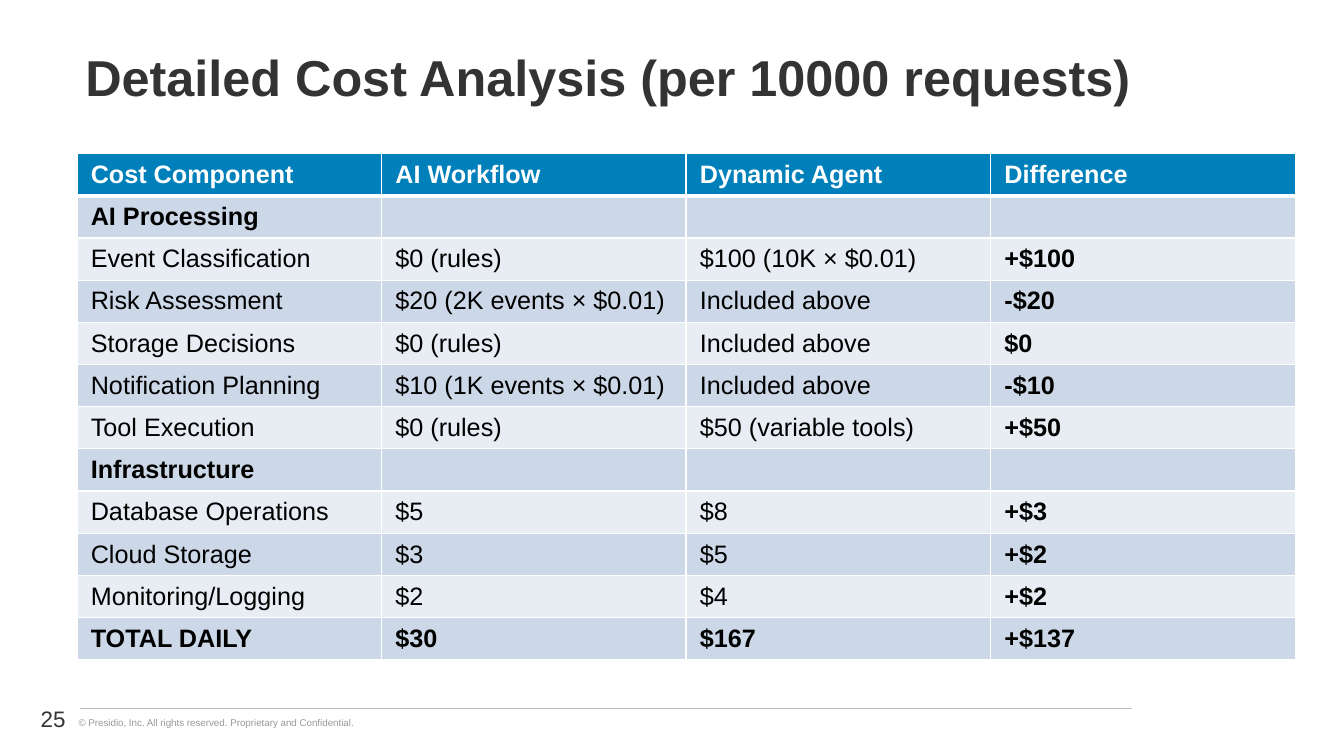
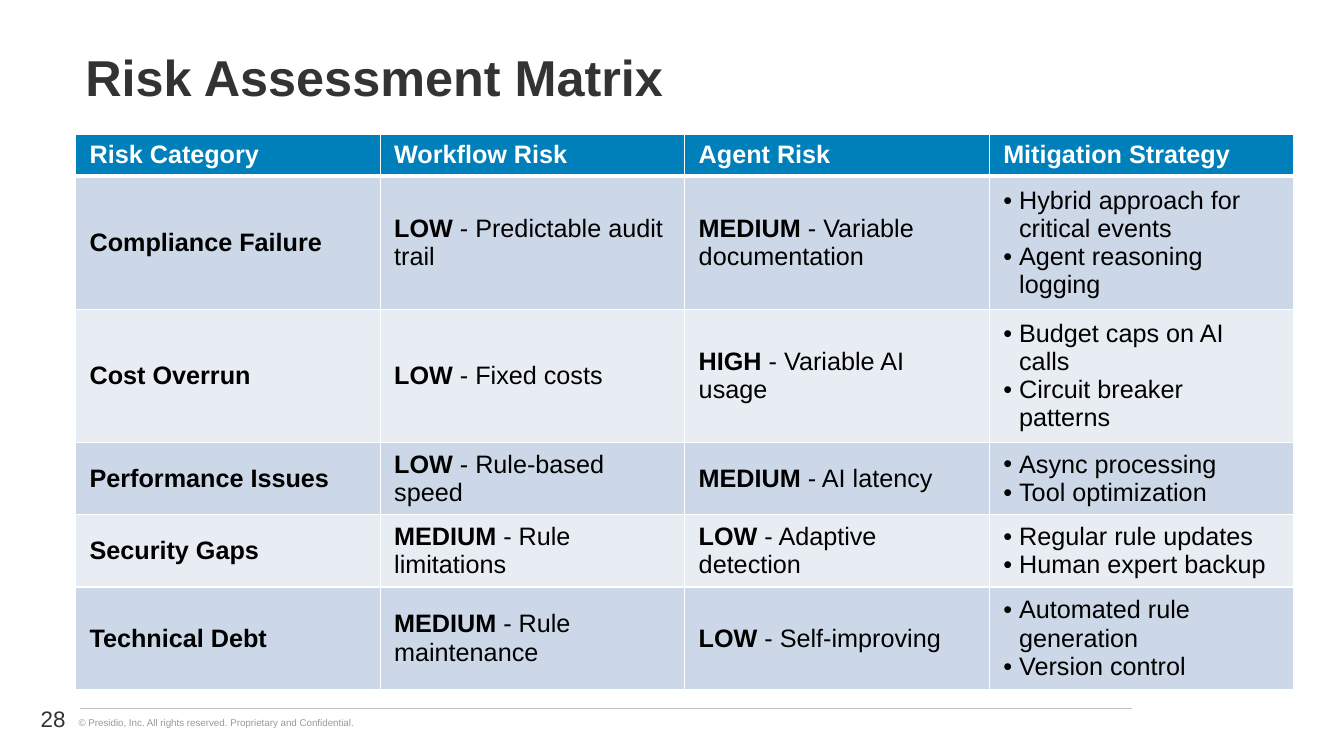
import dataclasses

import lxml.etree
import pptx
import pptx.dml.color
import pptx.enum.shapes
import pptx.enum.text
import pptx.oxml.ns
import pptx.util

Cm = pptx.util.Cm
Pt = pptx.util.Pt
qn = pptx.oxml.ns.qn
ANCHOR = pptx.enum.text.MSO_ANCHOR
ALIGN = pptx.enum.text.PP_ALIGN


@dataclasses.dataclass(frozen=True)
class Theme:
    font: str = "Arial"
    title_size: int = 36
    table_size: int = 18
    number_size: int = 16
    footer_size: int = 7
    dark: str = "333333"
    black: str = "000000"
    white: str = "FFFFFF"
    header: str = "0080BA"
    bands: tuple = ("CCD8E7", "E7EDF3")
    rule: str = "BFBFBF"
    muted: str = "989998"
    rule_width: float = 0.75
    border: int = 1
    header_border: int = 3


THEME = Theme()
FOOTER = "© Presidio, Inc. All rights reserved. Proprietary and Confidential."
TABLE_WIDTH = 30.7
BULLET_INDENT = 0.4

COSTS = [
    ("Cost Component", "AI Workflow", "Dynamic Agent", "Difference"),
    ("AI Processing", "", "", ""),
    ("Event Classification", "$0 (rules)", "$100 (10K × $0.01)", "+$100"),
    ("Risk Assessment", "$20 (2K events × $0.01)", "Included above", "-$20"),
    ("Storage Decisions", "$0 (rules)", "Included above", "$0"),
    ("Notification Planning", "$10 (1K events × $0.01)", "Included above", "-$10"),
    ("Tool Execution", "$0 (rules)", "$50 (variable tools)", "+$50"),
    ("Infrastructure", "", "", ""),
    ("Database Operations", "$5", "$8", "+$3"),
    ("Cloud Storage", "$3", "$5", "+$2"),
    ("Monitoring/Logging", "$2", "$4", "+$2"),
    ("TOTAL DAILY", "$30", "$167", "+$137"),
]
COST_HEIGHTS = [1.03] * len(COSTS)
COST_BOLD_ROWS = ("AI Processing", "Infrastructure", "TOTAL DAILY")

RISKS = [
    ("Risk Category", "Workflow Risk", "Agent Risk", "Mitigation Strategy"),
    ("Compliance Failure", "LOW - Predictable audit trail", "MEDIUM - Variable documentation",
     ["Hybrid approach for critical events", "Agent reasoning logging"]),
    ("Cost Overrun", "LOW - Fixed costs", "HIGH - Variable AI usage",
     ["Budget caps on AI calls", "Circuit breaker patterns"]),
    ("Performance Issues", "LOW - Rule-based speed", "MEDIUM - AI latency",
     ["Async processing", "Tool optimization"]),
    ("Security Gaps", "MEDIUM - Rule limitations", "LOW - Adaptive detection",
     ["Regular rule updates", "Human expert backup"]),
    ("Technical Debt", "MEDIUM - Rule maintenance", "LOW - Self-improving",
     ["Automated rule generation", "Version control"]),
]
RISK_HEIGHTS = [1.04, 3.15, 3.15, 1.74, 1.74, 2.45]


def rgb(value):
    return pptx.dml.color.RGBColor.from_string(value)


def set_all(target, values):
    for name, value in values.items():
        setattr(target, name, value)


def add_run(p, text, size, color, bold=False):
    r = p.add_run()
    r.text = text
    set_all(r.font, {"name": THEME.font, "size": Pt(size), "bold": bold})
    r.font.color.rgb = rgb(color)


def add_text(s, box, text, size, color, bold=False, frame=None, paragraph=None):
    tf = s.shapes.add_textbox(*map(Cm, box)).text_frame
    set_all(tf, {"word_wrap": True, "vertical_anchor": ANCHOR.MIDDLE, **(frame or {})})
    p = tf.paragraphs[0]
    set_all(p, paragraph or {})
    add_run(p, text, size, color, bold)


def add_rule(s, left, right, top):
    line = s.shapes.add_connector(
        pptx.enum.shapes.MSO_CONNECTOR.STRAIGHT, Cm(left), Cm(top), Cm(right), Cm(top))
    line.line.color.rgb = rgb(THEME.rule)
    line.line.width = Pt(THEME.rule_width)
    lxml.etree.SubElement(line._element.spPr, qn("a:effectLst"))


def add_borders(cell, top, bottom):
    tc_pr = cell._tc.get_or_add_tcPr()
    widths = {"L": THEME.border, "R": THEME.border, "T": top, "B": bottom}
    for side, width in widths.items():
        ln = lxml.etree.SubElement(tc_pr, qn(f"a:ln{side}"), w=str(Pt(width)))
        fill = lxml.etree.SubElement(ln, qn("a:solidFill"))
        lxml.etree.SubElement(fill, qn("a:srgbClr"), val=THEME.white)


def add_bullet(p):
    p_pr = p._p.get_or_add_pPr()
    p_pr.set("marL", str(Cm(BULLET_INDENT)))
    p_pr.set("indent", str(-Cm(BULLET_INDENT)))
    lxml.etree.SubElement(p_pr, qn("a:buFont"), typeface=THEME.font)
    lxml.etree.SubElement(p_pr, qn("a:buChar"), char="•")


def fill_cell(cell, content, row, bold):
    is_header = row == 0
    set_all(cell, {
        "vertical_anchor": ANCHOR.MIDDLE,
        "margin_left": Cm(0.35), "margin_right": Cm(0.35),
        "margin_top": Cm(0.15), "margin_bottom": Cm(0.15),
    })
    add_borders(cell,
                THEME.header_border if row == 1 else THEME.border,
                THEME.header_border if is_header else THEME.border)
    cell.fill.solid()
    cell.fill.fore_color.rgb = rgb(THEME.header if is_header else THEME.bands[(row - 1) % 2])
    color = THEME.white if is_header else THEME.black
    tf = cell.text_frame
    if isinstance(content, list):
        for i, item in enumerate(content):
            p = tf.add_paragraph() if i else tf.paragraphs[0]
            add_bullet(p)
            add_run(p, item, THEME.table_size, color, bold)
        return
    lead, dash, rest = content.partition(" - ")
    p = tf.paragraphs[0]
    if lead:
        add_run(p, lead, THEME.table_size, color, bold or bool(dash))
    else:
        p.font.size = Pt(THEME.table_size)
    if dash:
        add_run(p, dash + rest, THEME.table_size, color)


def add_grid(s, left, top, rows, heights, bold_column, bold_rows=()):
    columns = len(rows[0])
    table = s.shapes.add_table(
        len(rows), columns, Cm(left), Cm(top), Cm(TABLE_WIDTH), Cm(sum(heights))).table
    set_all(table, {"first_row": True, "horz_banding": False})
    for column in table.columns:
        column.width = Cm(TABLE_WIDTH / columns)
    for i, (values, height) in enumerate(zip(rows, heights)):
        table.rows[i].height = Cm(height)
        for j, content in enumerate(values):
            bold = i == 0 or j == bold_column or values[0] in bold_rows
            fill_cell(table.cell(i, j), content, i, bold)


def add_slide(prs, title, number):
    s = prs.slides.add_slide(prs.slide_layouts[6])
    add_text(s, (1.73, 17.93, 8, 0.56), FOOTER, THEME.footer_size, THEME.muted,
             frame={"vertical_anchor": ANCHOR.TOP})
    add_rule(s, 2.01, 28.52, 17.86)
    add_text(s, (1.9, 0.66, TABLE_WIDTH, 2.72), title, THEME.title_size, THEME.dark,
             bold=True, paragraph={"line_spacing": 0.9})
    add_text(s, (0, 17.6, 1.9, 1.02), str(number), THEME.number_size, THEME.dark,
             paragraph={"alignment": ALIGN.RIGHT})
    return s


def main():
    prs = pptx.Presentation()
    set_all(prs, {"slide_width": Cm(33.87), "slide_height": Cm(19.05)})
    s = add_slide(prs, "Detailed Cost Analysis (per 10000 requests)", 25)
    add_grid(s, 1.94, 3.87, COSTS, COST_HEIGHTS, bold_column=3, bold_rows=COST_BOLD_ROWS)
    s = add_slide(prs, "Risk Assessment Matrix", 28)
    add_grid(s, 1.91, 3.38, RISKS, RISK_HEIGHTS, bold_column=0)
    prs.save("out.pptx")


if __name__ == "__main__":
    main()
